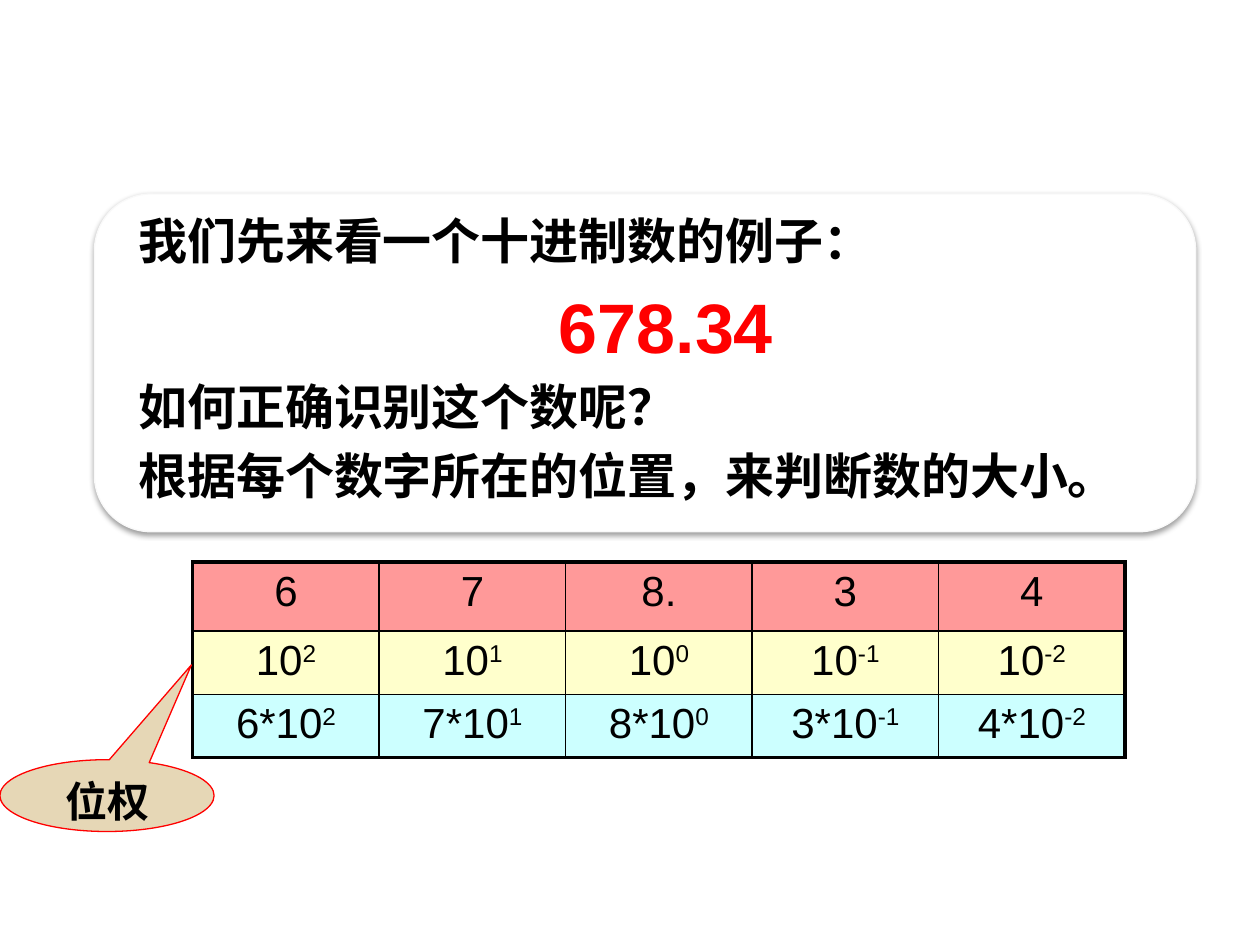
from lxml import etree
from pptx import Presentation
from pptx.dml.color import RGBColor
from pptx.enum import shapes, text
from pptx.oxml import ns
from pptx.util import Inches, Pt

BLACK = RGBColor(0x00, 0x00, 0x00)
WHITE = RGBColor(0xFF, 0xFF, 0xFF)
RED = RGBColor(0xFF, 0x00, 0x00)
PANEL_LINE = RGBColor(0xF9, 0xF9, 0xF9)
TAN = RGBColor(0xE6, 0xD7, 0xB6)
ROW_FILLS = [
    RGBColor(0xFF, 0x99, 0x99),
    RGBColor(0xFF, 0xFF, 0xCC),
    RGBColor(0xCC, 0xFF, 0xFF),
]

PANEL_LINES = [
    ("我们先来看一个十进制数的例子：", 28, BLACK, text.PP_ALIGN.LEFT),
    ("678.34", 40, RED, text.PP_ALIGN.CENTER),
    ("如何正确识别这个数呢？", 28, BLACK, text.PP_ALIGN.LEFT),
    ("根据每个数字所在的位置，来判断数的大小。", 28, BLACK, text.PP_ALIGN.LEFT),
]
DIGITS = ["6", "7", "8.", "3", "4"]
EXPONENTS = ["2", "1", "0", "-1", "-2"]


def add_run(paragraph, words, size, color=BLACK, bold=False, name="Arial"):
    run = paragraph.add_run()
    run.text = words
    run.font.size = Pt(size)
    run.font.name = name
    run.font.bold = bold
    run.font.color.rgb = color
    return run


def add_filled_shape(slide, kind, box, fill, line):
    shape = slide.shapes.add_shape(kind, *box)
    shape.shadow.inherit = False
    shape.fill.solid()
    shape.fill.fore_color.rgb = fill
    shape.line.color.rgb = line
    shape.line.width = Pt(0.75)
    return shape


def add_soft_shadow(shape):
    effects = shape._element.spPr.find(ns.qn("a:effectLst"))
    shadow = etree.SubElement(
        effects, ns.qn("a:outerShdw"), blurRad=str(Pt(3.1)), dist=str(Pt(1.6)),
        dir=str(90 * 60000), rotWithShape="0")
    color = etree.SubElement(shadow, ns.qn("a:srgbClr"), val=str(BLACK))
    etree.SubElement(color, ns.qn("a:alpha"), val="38000")


def add_example_panel(slide, left, top, width, height):
    panel = add_filled_shape(
        slide, shapes.MSO_SHAPE.ROUNDED_RECTANGLE, (left, top, width, height),
        WHITE, PANEL_LINE)
    panel.adjustments[0] = 0.167
    add_soft_shadow(panel)

    frame = slide.shapes.add_textbox(
        left + Inches(0.25), top + Inches(0.08),
        width - Inches(0.17), height - Inches(0.21)).text_frame
    frame.word_wrap = True
    for index, (words, size, color, alignment) in enumerate(PANEL_LINES):
        paragraph = frame.add_paragraph() if index else frame.paragraphs[0]
        paragraph.alignment = alignment
        properties = paragraph._p.get_or_add_pPr()
        properties.set("marL", str(Inches(0.38)))
        properties.set("indent", str(Inches(-0.38)))
        if index:
            paragraph.space_before = Pt(size * 0.2)
        add_run(paragraph, words, size, color, bold=True)


def set_borders(cell, widths):
    properties = cell._tc.get_or_add_tcPr()
    for index, (side, width) in enumerate(zip("LRTB", widths)):
        line = etree.Element(ns.qn(f"a:ln{side}"), w=str(Pt(width)))
        fill = etree.SubElement(line, ns.qn("a:solidFill"))
        etree.SubElement(fill, ns.qn("a:srgbClr"), val=str(BLACK))
        properties.insert(index, line)


def add_weight_table(slide, left, top, width, row_heights):
    rows = [
        [(digit, "") for digit in DIGITS],
        [("10", exponent) for exponent in EXPONENTS],
        [(f"{digit.rstrip('.')}*10", exponent)
         for digit, exponent in zip(DIGITS, EXPONENTS)],
    ]
    last_row, last_column = len(rows) - 1, len(DIGITS) - 1
    table = slide.shapes.add_table(
        len(rows), len(DIGITS), left, top, width, sum(row_heights)).table
    for column in table.columns:
        column.width = width // len(DIGITS)
    for row_index, values in enumerate(rows):
        table.rows[row_index].height = row_heights[row_index]
        for column_index, (base, exponent) in enumerate(values):
            cell = table.cell(row_index, column_index)
            cell.fill.solid()
            cell.fill.fore_color.rgb = ROW_FILLS[row_index]
            outer_edges = (column_index == 0, column_index == last_column,
                           row_index == 0, row_index == last_row)
            set_borders(cell, [2.25 if outer else 1 for outer in outer_edges])
            paragraph = cell.text_frame.paragraphs[0]
            paragraph.alignment = text.PP_ALIGN.CENTER
            add_run(paragraph, base, 24)
            if exponent:
                run = add_run(paragraph, exponent, 24)
                run.font._element.set("baseline", "30000")


def add_weight_callout(slide, left, top, width, height):
    callout = add_filled_shape(
        slide, shapes.MSO_SHAPE.OVAL_CALLOUT, (left, top, width, height), TAN, RED)
    callout.adjustments[0] = 0.394
    callout.adjustments[1] = -1.821
    frame = callout.text_frame
    frame.word_wrap = True
    frame.vertical_anchor = text.MSO_ANCHOR.TOP
    frame.margin_left = frame.margin_right = Inches(0.07)
    frame.margin_top = frame.margin_bottom = Inches(0.04)
    paragraph = frame.paragraphs[0]
    paragraph.alignment = text.PP_ALIGN.CENTER
    add_run(paragraph, "位权", 24, bold=True, name="Times New Roman")


def main():
    presentation = Presentation()
    presentation.slide_width = Inches(10)
    presentation.slide_height = Inches(7.5)
    slide = presentation.slides.add_slide(presentation.slide_layouts[6])
    add_example_panel(slide, Inches(0.75), Inches(1.54), Inches(8.74), Inches(2.68))
    add_weight_table(slide, Inches(1.53), Inches(4.46), Inches(7.4),
                     [Inches(0.55), Inches(0.46), Inches(0.46)])
    add_weight_callout(slide, Inches(0), Inches(6.03), Inches(1.7), Inches(0.57))
    presentation.save("out.pptx")


if __name__ == "__main__":
    main()
